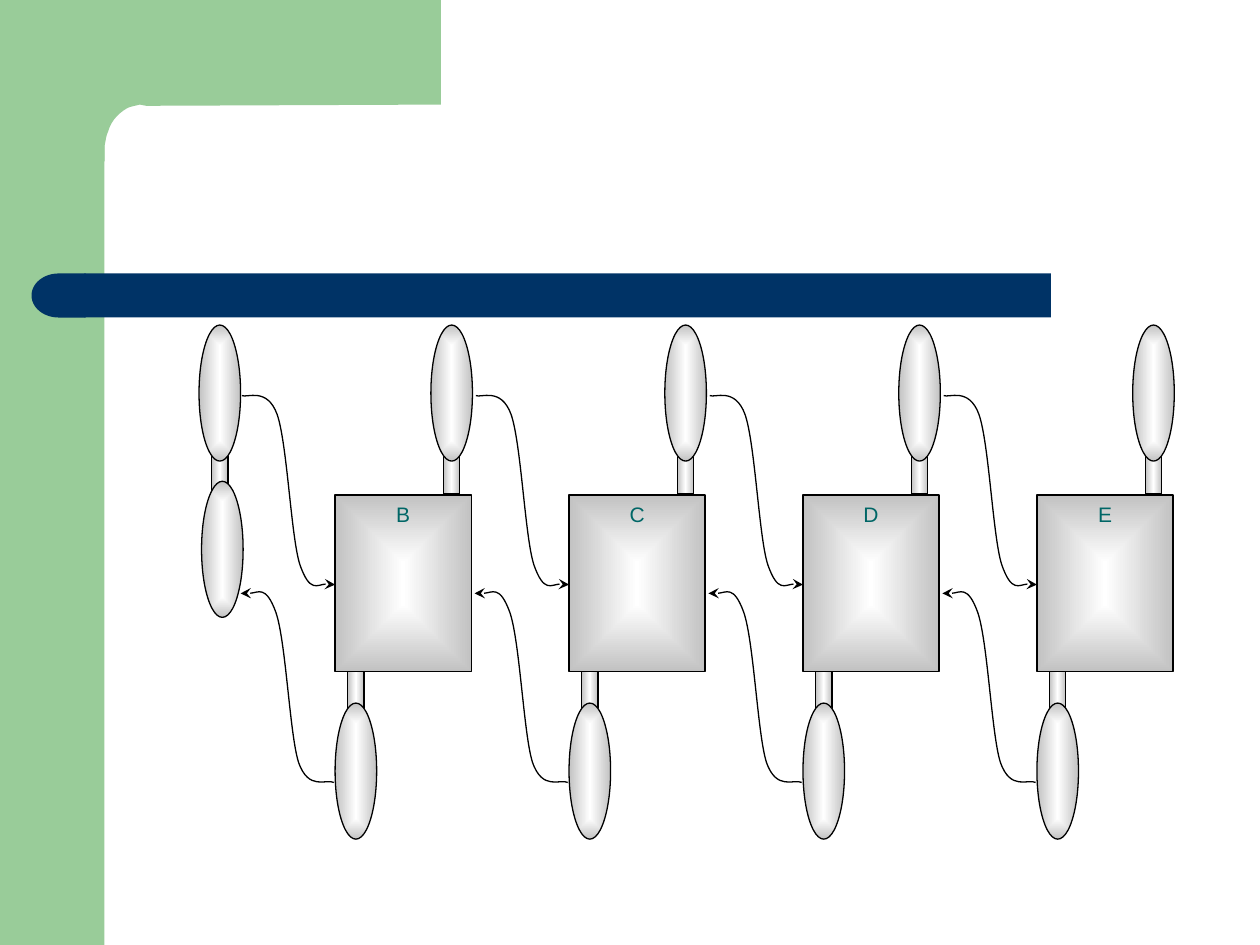
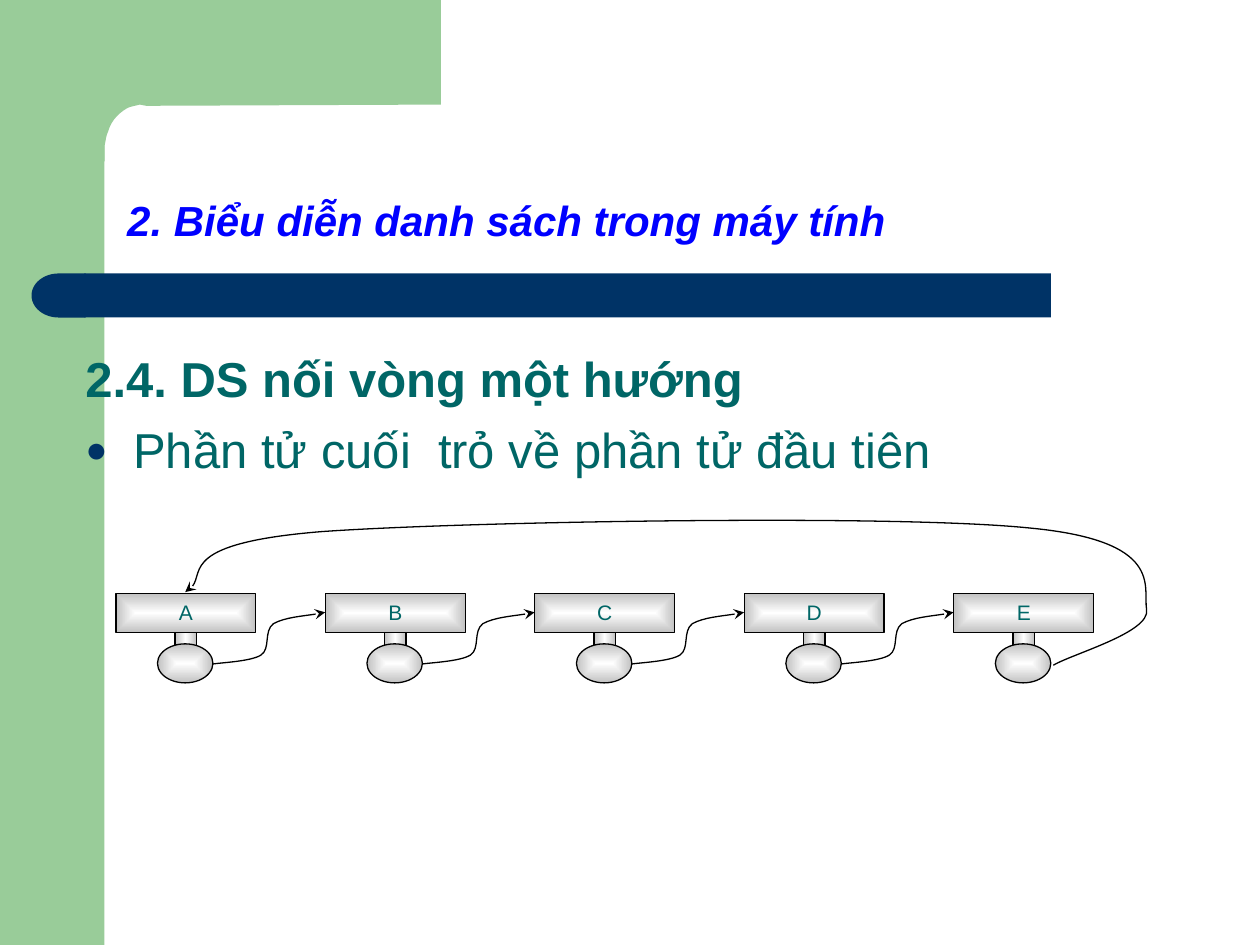
"""Build two slides that show linked lists: a two-way chain and a one-way ring."""

from dataclasses import dataclass

from lxml import etree
from pptx import Presentation
from pptx.dml.color import RGBColor
from pptx.enum.shapes import MSO_SHAPE as Preset
from pptx.enum.text import MSO_ANCHOR as Anchor, PP_ALIGN as Align
from pptx.oxml import parse_xml
from pptx.oxml.ns import nsdecls, qn
from pptx.shapes.autoshape import Shape
from pptx.slide import Slide
from pptx.util import Inches, Pt

FONT = "Arial"
COLORS = {
    "band": "99CC99",
    "bar": "003366",
    "title": "0000FF",
    "text": "006666",
    "line": "000000",
    "light": "FFFFFF",
    "shade": "C2C2C2",
}
TITLE_ONLY, BLANK = 5, 6

Point = tuple[float, float]
Segment = list[Point]


@dataclass(frozen=True)
class Part:
    """One preset shape of a list node, placed relative to the node."""

    preset: Preset
    left: float
    top: float
    width: float
    height: float
    tube: bool = False
    labelled: bool = False


@dataclass(frozen=True)
class Path:
    """A start point and its segments: one point is a line, three a curve."""

    start: Point
    segments: list[Segment]


CORNER = Path((3.5, 0), [
    [(3.5, 0.83)], [(1.16, 0.84)], [(1.11, 0.83)], [(1.03, 0.85)],
    [(1, 0.86), (0.96, 0.89), (0.93, 0.92)],
    [(0.9, 0.95), (0.87, 1), (0.86, 1.04)],
    [(0.84, 1.08), (0.84, 1.12), (0.83, 1.16)],
    [(0.83, 1.28)], [(0.5, 1.28)], [(0.5, 0)],
])

HEAD_PARTS = [
    Part(Preset.RECTANGLE, 1.68, 3.47, 0.13, 0.45, tube=True),
    Part(Preset.OVAL, 1.58, 2.58, 0.33, 1.08),
    Part(Preset.OVAL, 1.6, 3.82, 0.33, 1.08),
]
CHAIN_PARTS = [
    Part(Preset.RECTANGLE, 0, 3.93, 1.08, 1.4, labelled=True),
    Part(Preset.RECTANGLE, 0.1, 5.33, 0.13, 0.45, tube=True),
    Part(Preset.RECTANGLE, 0.86, 3.47, 0.13, 0.45, tube=True),
    Part(Preset.OVAL, 0.76, 2.58, 0.33, 1.08),
    Part(Preset.OVAL, 0, 5.58, 0.33, 1.08),
]
CHAIN_LEFT, CHAIN_PITCH = 2.66, (8.23 - 2.66) / 3
CHAIN_LINK = Path((-0.74, 3.14), [
    [(-0.7, 3.16), (-0.54, 3.07), (-0.46, 3.29)],
    [(-0.38, 3.52), (-0.35, 4.26), (-0.28, 4.48)],
    [(-0.2, 4.71), (-0.06, 4.61), (0, 4.64)],
])
BACK_SHIFT = (-0.01, 1.57)

RING_PARTS = [
    Part(Preset.RECTANGLE, 0, 4.71, 1.11, 0.31, labelled=True),
    Part(Preset.RECTANGLE, 0.47, 5.02, 0.17, 0.12, tube=True),
    Part(Preset.OVAL, 0.33, 5.11, 0.44, 0.31),
]
RING_LEFT, RING_PITCH = 0.92, (7.57 - 0.92) / 4
RING_LINK = Path((0.77, 5.27), [
    [(0.83, 5.26), (1.07, 5.25), (1.15, 5.2)],
    [(1.23, 5.15), (1.17, 5.01), (1.25, 4.95)],
    [(1.34, 4.9), (1.58, 4.88), (1.66, 4.86)],
])
RING_RETURN = Path((1.47, 4.7), [
    [(1.65, 4.62), (1.44, 4.31), (2.55, 4.22)],
    [(3.66, 4.14), (7.07, 4.08), (8.16, 4.19)],
    [(9.25, 4.29), (9.07, 4.66), (9.1, 4.84)],
    [(9.13, 5.02), (8.51, 5.19), (8.36, 5.28)],
])


def rgb(name: str) -> RGBColor:
    """Look up a named colour."""
    return RGBColor.from_string(COLORS[name])


def paint(shape: Shape, color: str) -> None:
    """Give a shape a flat fill without outline or shadow."""
    shape.shadow.inherit = False
    shape.fill.solid()
    shape.fill.fore_color.rgb = rgb(color)
    shape.line.fill.background()


def outline(shape: Shape) -> None:
    """Give a shape the thin diagram line without shadow."""
    shape.shadow.inherit = False
    shape.line.color.rgb = rgb("line")
    shape.line.width = Pt(0.75)


def shade(shape: Shape, tube: bool) -> None:
    """Fill with a side-to-side gradient for a tube, else one from the centre."""
    if tube:
        stops = [(0, "shade"), (50, "light"), (100, "shade")]
        direction = '<a:lin ang="0" scaled="1"/>'
    else:
        stops = [(0, "light"), (100, "shade")]
        direction = ('<a:path path="rect"><a:fillToRect l="50000" t="50000" '
                     'r="50000" b="50000"/></a:path>')
    stop_xml = "".join(
        f'<a:gs pos="{pos * 1000}"><a:srgbClr val="{COLORS[name]}"/></a:gs>'
        for pos, name in stops)
    gradient = parse_xml(f'<a:gradFill {nsdecls("a")} rotWithShape="1">'
                         f'<a:gsLst>{stop_xml}</a:gsLst>{direction}</a:gradFill>')
    shape.fill.background()
    properties = shape.element.spPr
    properties.replace(properties.find(qn("a:noFill")), gradient)


def add_preset(page: Slide, preset: Preset, left: float, top: float,
               width: float, height: float) -> Shape:
    """Add a preset shape measured in inches."""
    return page.shapes.add_shape(
        preset, Inches(left), Inches(top), Inches(width), Inches(height))


def add_path(page: Slide, route: Path, dx: float = 0, dy: float = 0,
             closed: bool = False) -> Shape:
    """Draw a path, turning each three-point segment into a Bézier curve."""
    def place(point: Point) -> tuple[int, int]:
        return Inches(point[0] + dx), Inches(point[1] + dy)

    builder = page.shapes.build_freeform(*place(route.start))
    points = [place(point) for segment in route.segments for point in segment]
    builder.add_line_segments(points, close=closed)
    shape = builder.convert_to_shape()
    steps = iter(list(shape.element.iter(qn("a:lnTo"))))
    for segment in route.segments:
        group = [next(steps) for _ in segment]
        if len(group) == 3:
            curve = group[0].makeelement(qn("a:cubicBezTo"))
            group[0].addprevious(curve)
            for step in group:
                curve.append(step[0])
                step.getparent().remove(step)
    return shape


def add_arrow(page: Slide, route: Path, end: str, dx: float = 0, dy: float = 0) -> None:
    """Draw a curved arrow with its point at the head or tail end."""
    arrow = add_path(page, route, dx, dy)
    arrow.fill.background()
    outline(arrow)
    line = arrow.element.spPr.find(qn("a:ln"))
    etree.SubElement(line, qn(f"a:{end}End"), type="stealth")


def add_node(page: Slide, parts: list[Part], left: float = 0, label: str = "") -> None:
    """Draw the parts of one list node."""
    for part in parts:
        shape = add_preset(page, part.preset, left + part.left, part.top,
                           part.width, part.height)
        shade(shape, part.tube)
        outline(shape)
        if part.labelled:
            frame = shape.text_frame
            frame.vertical_anchor = Anchor.TOP
            para = frame.paragraphs[0]
            para.text = label
            para.alignment = Align.CENTER
            style(para, 12, "text")


def style(para, size: int, color: str, bold: bool = False, italic: bool = False) -> None:
    """Set the font of a whole paragraph."""
    font = para.font
    font.name, font.size = FONT, Pt(size)
    font.bold, font.italic = bold, italic
    font.color.rgb = rgb(color)


def add_backdrop(page: Slide) -> None:
    """Draw the green corner band and the blue title bar."""
    paint(add_preset(page, Preset.RECTANGLE, 0, 0, 0.83, 7.5), "band")
    paint(add_path(page, CORNER, closed=True), "band")
    paint(add_preset(page, Preset.RECTANGLE, 0.67, 2.17, 7.67, 0.35), "bar")
    cap = add_preset(page, Preset.FLOWCHART_DELAY, 0.25, 2.17, 0.43, 0.35)
    cap.rotation = 180
    paint(cap, "bar")


def set_title(page: Slide, text: str) -> None:
    """Place and format the title placeholder."""
    title = page.shapes.title
    title.left, title.top = Inches(0.91), Inches(0.91)
    title.width, title.height = Inches(8.51), Inches(1.09)
    frame = title.text_frame
    frame.vertical_anchor = Anchor.BOTTOM
    para = frame.paragraphs[0]
    para.text = text
    para.alignment = Align.LEFT
    para.line_spacing = 0.9
    style(para, 24, "title", bold=True, italic=True)


def add_body(page: Slide, heading: str, bullet: str) -> None:
    """Add a bold heading with one bulleted line under it."""
    box = page.shapes.add_textbox(Inches(0.58), Inches(2.72), Inches(8.38), Inches(1.3))
    frame = box.text_frame
    frame.word_wrap = True
    first = frame.paragraphs[0]
    first.text = heading
    style(first, 28, "text", bold=True)

    second = frame.add_paragraph()
    second.text = bullet
    second.alignment = Align.JUSTIFY
    second.space_before = Pt(7)
    settings = second._p.get_or_add_pPr()
    settings.set("marL", str(Inches(0.38)))
    settings.set("indent", str(Inches(-0.38)))
    color = etree.SubElement(settings, qn("a:buClr"))
    etree.SubElement(color, qn("a:srgbClr"), val=COLORS["bar"])
    etree.SubElement(settings, qn("a:buSzPct"), val="75000")
    etree.SubElement(settings, qn("a:buFont"), typeface=FONT)
    etree.SubElement(settings, qn("a:buChar"), char="●")
    style(second, 28, "text")


def build_chain(page: Slide) -> None:
    """Draw the list whose nodes point both ways."""
    add_backdrop(page)
    add_node(page, HEAD_PARTS)
    lefts = [CHAIN_LEFT + index * CHAIN_PITCH for index in range(4)]
    for left, label in zip(lefts, "BCDE"):
        add_node(page, CHAIN_PARTS, left, label)
    for left in lefts:
        add_arrow(page, CHAIN_LINK, "tail", left)
        add_arrow(page, CHAIN_LINK, "head", left + BACK_SHIFT[0], BACK_SHIFT[1])


def build_ring(page: Slide) -> None:
    """Draw the list whose last node points to the first."""
    add_backdrop(page)
    set_title(page, "2. Biểu diễn danh sách trong máy tính")
    add_body(page, "2.4. DS nối vòng một hướng",
             "Phần tử cuối  trỏ về phần tử đầu tiên")
    lefts = [RING_LEFT + index * RING_PITCH for index in range(5)]
    for left, label in zip(lefts, "ABCDE"):
        add_node(page, RING_PARTS, left, label)
    for left in lefts[:-1]:
        add_arrow(page, RING_LINK, "tail", left)
    add_arrow(page, RING_RETURN, "head")


def main() -> None:
    """Build and save the deck."""
    deck = Presentation()
    deck.slide_width, deck.slide_height = Inches(10), Inches(7.5)
    build_chain(deck.slides.add_slide(deck.slide_layouts[BLANK]))
    build_ring(deck.slides.add_slide(deck.slide_layouts[TITLE_ONLY]))
    deck.save("out.pptx")


if __name__ == "__main__":
    main()
